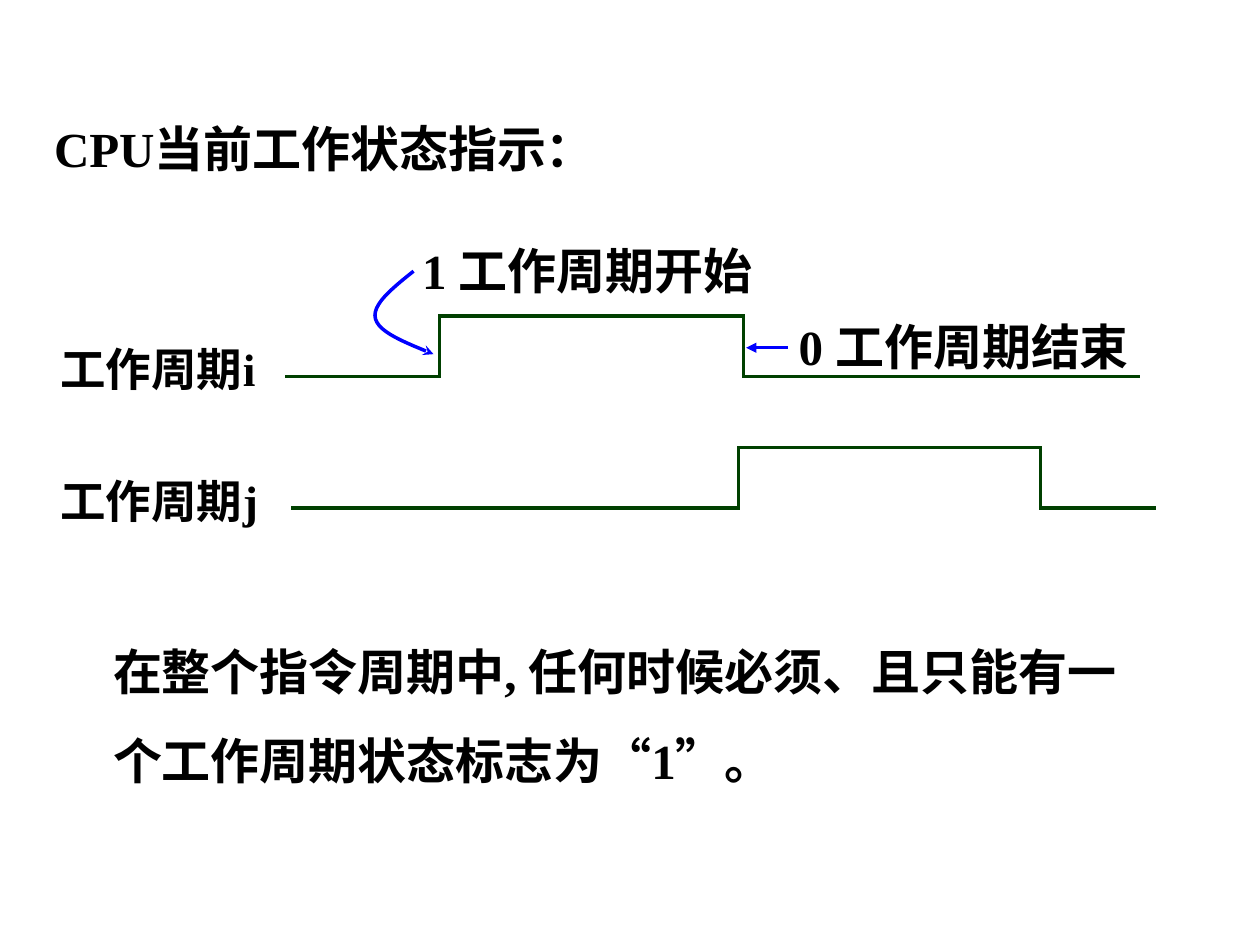
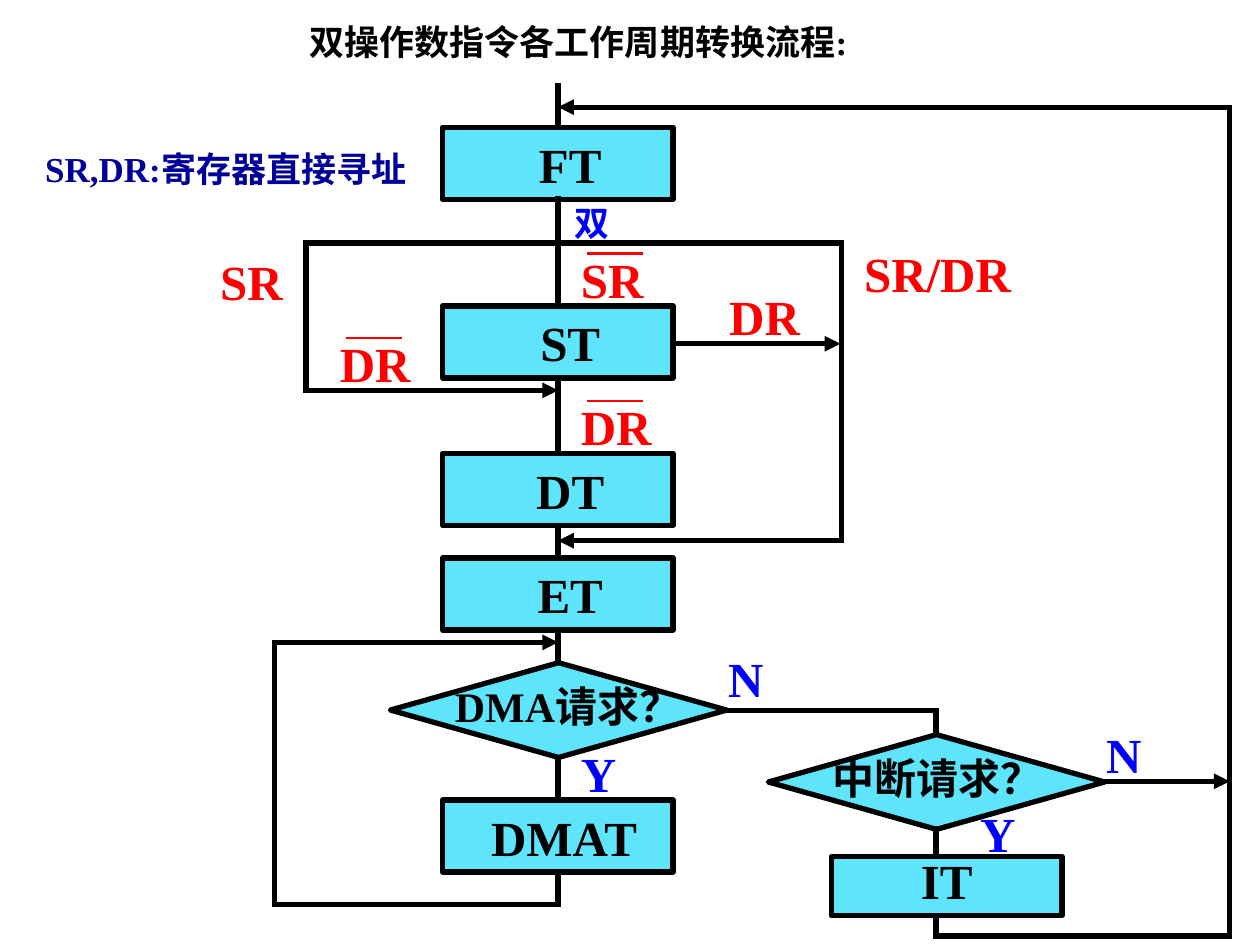
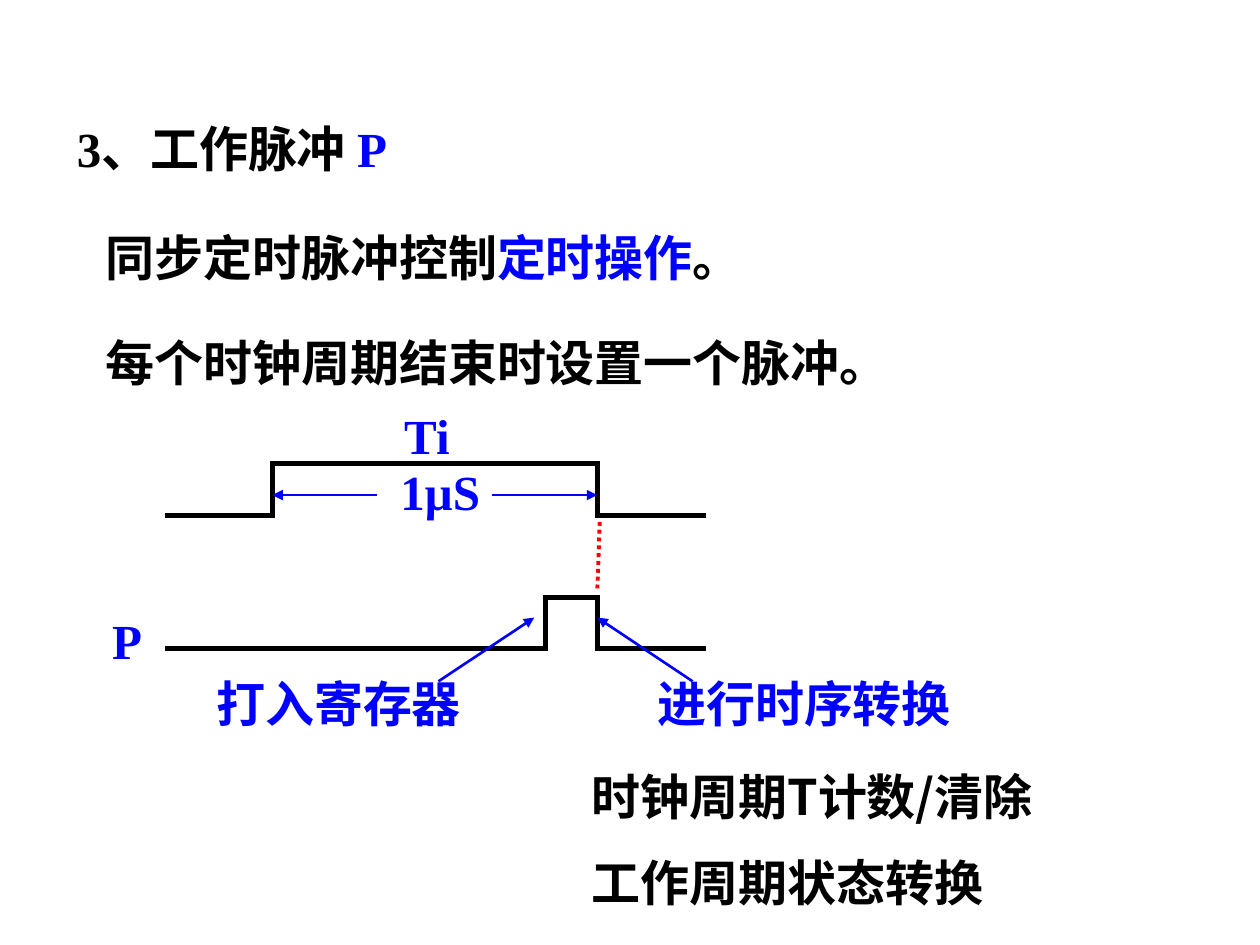
from dataclasses import dataclass
from itertools import pairwise

from lxml import etree
from pptx import Presentation
from pptx.dml.color import RGBColor
from pptx.enum import dml, shapes, text
from pptx.oxml.ns import qn
from pptx.util import Cm, Pt


@dataclass(frozen=True)
class Theme:
    black: str = "000000"
    blue: str = "0000FF"
    navy: str = "000099"
    red: str = "FF0000"
    green: str = "004000"
    cyan: str = "5EE5FC"
    latin: str = "Times New Roman"
    chinese: str = "Noto Sans CJK SC"
    body: int = 28
    signal: int = 26
    question: int = 24
    small: int = 20
    thick: float = 3
    edge: float = 1.75
    pointer: float = 1.5
    thin: float = 1


theme = Theme()


def write(frame, parts, size=theme.body, latin=theme.latin):
    """Fill a text frame with one paragraph of (words, colour) parts."""
    frame.word_wrap = True
    paragraph = frame.paragraphs[0]
    for words, color in parts:
        run = paragraph.add_run()
        run.text = words
        run.font.size = Pt(size)
        run.font.bold = True
        run.font.color.rgb = RGBColor.from_string(color)
        run.font.name = latin
        chinese = etree.SubElement(run.font._element, qn("a:ea"))
        chinese.set("typeface", theme.chinese)
    return paragraph


def stroke(shape, color, width, tip=None, dash=None):
    """Style an outline or line, with an optional arrowhead at its end."""
    shape.line.color.rgb = RGBColor.from_string(color)
    shape.line.width = Pt(width)
    ln = shape._element.spPr.find(qn("a:ln"))
    if dash:
        shape.line.dash_style = dash
    else:
        ln.set("cap", "sq")
    if tip:
        etree.SubElement(ln, qn("a:tailEnd")).set("type", tip)


deck = Presentation()
deck.slide_width, deck.slide_height = Cm(25.4), Cm(19.05)
status, flow, pulse = [deck.slides.add_slide(deck.slide_layouts[6]) for _ in range(3)]

# Square waves: slide, start, rise, fall, end, base, height, colour, width
wires = []
waves = [
    (status, 5.77, 8.86, 14.99, 22.94, 7.59, 1.22, theme.green, theme.edge),
    (status, 5.89, 14.88, 20.98, 23.27, 10.24, 1.22, theme.green, theme.edge),
    (pulse, 3.38, 5.49, 12.04, 14.17, 10.39, 1.04, theme.black, theme.thick),
    (pulse, 3.38, 11, 12.04, 14.17, 13.08, 1.04, theme.black, theme.thick),
]
for slide, start, rise, fall, end, base, height, color, width in waves:
    top = base - height
    wires.append((slide, [(start, base), (rise, base), (rise, top), (fall, top),
                          (fall, base), (end, base)], color, width, None))

# Pointers at the edges of the waves
wires += [
    (status, [(15.85, 7.01), (15.04, 7.01)], theme.blue, theme.pointer, "triangle"),
    (pulse, [(9.93, 9.98), (12.04, 9.98)], theme.blue, theme.thin, "triangle"),
    (pulse, [(7.59, 9.98), (5.49, 9.98)], theme.blue, theme.thin, "triangle"),
    (pulse, [(8.86, 13.72), (10.77, 12.45)], theme.blue, theme.pointer, "triangle"),
    (pulse, [(13.94, 13.72), (12.04, 12.45)], theme.blue, theme.pointer, "triangle"),
]

# Curved pointer to the rising edge, sampled from two Bezier arcs
arcs = [
    [(8.31, 5.49), (7.9, 5.82), (7.49, 6.15), (7.57, 6.43)],
    [(7.57, 6.43), (7.65, 6.71), (8.18, 6.91), (8.74, 7.14)],
]
steps = 12
curve = []
for arc in arcs:
    for step in range(1, steps + 1):
        t = step / steps
        weights = ((1 - t) ** 3, 3 * t * (1 - t) ** 2, 3 * t * t * (1 - t), t ** 3)
        curve.append(tuple(Cm(sum(w * point[axis] for w, point in zip(weights, arc)))
                           for axis in (0, 1)))
builder = status.shapes.build_freeform(Cm(8.31), Cm(5.49))
builder.add_line_segments(curve, close=False)
start_pointer = builder.convert_to_shape()
start_pointer.shadow.inherit = False
start_pointer.fill.background()
stroke(start_pointer, theme.blue, 2, "stealth")

# Flow chart steps: words, left, top, width, height, extra left inset
spine, box_width, box_height = 11.25, 4.65, 1.45
box_left = 8.92
rect, decision = shapes.MSO_SHAPE.RECTANGLE, shapes.MSO_SHAPE.FLOWCHART_DECISION
steps_of_flow = [
    (rect, "FT", box_left, 2.57, box_width, box_height, 0.5),
    (rect, "ST", box_left, 6.17, box_width, box_height, 0.5),
    (rect, "DT", box_left, 9.14, box_width, box_height, 0.5),
    (rect, "ET", box_left, 11.25, box_width, box_height, 0.5),
    (rect, "DMAT", box_left, 16.13, box_width, box_height, 0.25),
    (rect, "IT", 16.76, 17.27, box_width, 1.19, 0),
    (decision, "", 7.87, 13.36, 6.78, 1.91, 0),
    (decision, "", 15.49, 14.81, 6.78, 1.91, 0),
]
for outline, words, left, top, width, height, inset in steps_of_flow:
    step_box = flow.shapes.add_shape(outline, Cm(left), Cm(top), Cm(width), Cm(height))
    step_box.shadow.inherit = False
    step_box.fill.solid()
    step_box.fill.fore_color.rgb = RGBColor.from_string(theme.cyan)
    stroke(step_box, theme.black, theme.thick)
    if words:
        frame = step_box.text_frame
        frame.margin_left = Cm(0.25 + inset)
        frame.vertical_anchor = text.MSO_ANCHOR.BOTTOM
        write(frame, [(words, theme.black)]).alignment = text.PP_ALIGN.CENTER

# Flow chart links
for top, bottom in [(1.73, 2.57), (4.01, 6.17), (7.62, 9.14), (10.59, 11.25),
                    (12.7, 13.36), (15.27, 16.13)]:
    wires.append((flow, [(spine, top), (spine, bottom)], theme.black, theme.thick, None))
wires += [(flow, points, theme.black, theme.thick, tip) for points, tip in [
    ([(spine, 4.9), (6.17, 4.9), (6.17, 7.87), (spine, 7.87)], "triangle"),
    ([(spine, 4.9), (16.97, 4.9), (16.97, 10.9), (spine, 10.9)], "triangle"),
    ([(13.67, 6.93), (16.94, 6.93)], "triangle"),
    ([(spine, 17.58), (spine, 18.24), (5.54, 18.24), (5.54, 12.95), (spine, 12.95)], "triangle"),
    ([(14.65, 14.33), (18.87, 14.33), (18.87, 14.81)], None),
    ([(18.87, 16.71), (18.87, 17.27)], None),
    ([(22.25, 15.75), (24.79, 15.75)], "triangle"),
    ([(18.87, 18.46), (18.87, 18.87), (24.79, 18.87), (24.79, 2.16), (spine, 2.16)], "triangle"),
]]

# Labels: slide, words, left, top, width, colour, size
labels = [
    (status, "CPU当前工作状态指示：", 0.84, 2.26, 12.7, theme.black, theme.body),
    (status, "1 工作周期开始", 8.26, 4.72, 7.77, theme.black, theme.body),
    (status, "0 工作周期结束", 15.85, 6.25, 7.75, theme.black, theme.body),
    (status, "工作周期i", 0.97, 6.76, 5.38, theme.black, theme.signal),
    (status, "工作周期j", 0.97, 9.42, 5.38, theme.black, theme.signal),
    (flow, "双操作数指令各工作周期转换流程:", 5.99, 0.28, 11.89, theme.black, theme.small),
    (flow, "SR,DR:寄存器直接寻址", 0.66, 2.84, 7.85, theme.navy, theme.small),
    (flow, "双", 11.33, 3.94, 4.78, theme.blue, theme.small),
    (flow, "SR", 4.19, 4.95, 2, theme.red, theme.body),
    (flow, "SR/DR", 17.17, 4.78, 3.81, theme.red, theme.body),
    (flow, "DR", 14.45, 5.66, 2.54, theme.red, theme.body),
    (flow, "DMA请求？", 8.92, 13.59, 5.51, theme.black, theme.question),
    (flow, "中断请求？", 16.54, 15.04, 5.51, theme.black, theme.question),
    (flow, "Y", 11.46, 14.86, 1.9, theme.blue, theme.body),
    (flow, "N", 14.43, 12.95, 1.9, theme.blue, theme.body),
    (flow, "Y", 19.51, 16.08, 1.9, theme.blue, theme.body),
    (flow, "N", 22.05, 14.48, 1.9, theme.blue, theme.body),
    (pulse, "每个时钟周期结束时设置一个脉冲。", 1.88, 6.58, 20.52, theme.black, theme.body),
    (pulse, "Ti", 7.9, 8.05, 2.11, theme.blue, theme.body),
    (pulse, "1µS", 7.82, 9.17, 3.18, theme.blue, theme.body),
    (pulse, "P", 2.01, 12.19, 2.11, theme.blue, theme.body),
    (pulse, "打入寄存器", 4.11, 13.46, 6.55, theme.blue, theme.body),
    (pulse, "进行时序转换", 13, 13.46, 7.62, theme.blue, theme.body),
    (pulse, "工作周期状态转换", 11.68, 17.07, 13.2, theme.black, theme.body),
]

# Negated conditions carry a bar above the label
for words, left, top in [("SR", 11.46, 4.9), ("DR", 11.46, 7.87), ("DR", 6.6, 6.6)]:
    labels.append((flow, words, left, top, 2.54, theme.red, theme.body))
    bar_left, bar_top = left + 0.4, top + 0.21
    wires.append((flow, [(bar_left, bar_top), (bar_left + 1.07, bar_top)],
                  theme.red, theme.pointer, None))

# Draw the lines; the arrowhead goes on the last stretch
wires.append((pulse, [(12.09, 10.52), (12.04, 11.94)], theme.red, 2.25, None))
for slide, points, color, width, tip in wires:
    for start, end in pairwise(points):
        link = slide.shapes.add_connector(shapes.MSO_CONNECTOR.STRAIGHT,
                                          *map(Cm, start + end))
        dotted = dml.MSO_LINE.ROUND_DOT if width == 2.25 else None
        stroke(link, color, width, tip if end == points[-1] else None, dotted)
        etree.SubElement(link._element.spPr, qn("a:effectLst"))

# Set the labels
for slide, words, left, top, width, color, size in labels:
    box = slide.shapes.add_textbox(Cm(left), Cm(top), Cm(width), Cm(0.25 + 0.043 * size))
    write(box.text_frame, [(words, color)], size)

# Closing rule of the status slide
rule = status.shapes.add_textbox(Cm(2.03), Cm(12.22), Cm(21.31), Cm(3.63))
write(rule.text_frame, [("在整个指令周期中, 任何时候必须、且只能有一个工作周期状态标志为“1”。",
                         theme.black)]).line_spacing = 1.5

# Pulse slide: lines in two colours, and the clock line in its own font
heading = pulse.shapes.add_textbox(Cm(1.3), Cm(2.26), Cm(13.13), Cm(1.45))
write(heading.text_frame, [("3、工作脉冲 ", theme.black), ("P", theme.blue)])
purpose = pulse.shapes.add_textbox(Cm(1.88), Cm(4.47), Cm(20.52), Cm(1.45))
write(purpose.text_frame, [("同步定时脉冲控制", theme.black), ("定时操作", theme.blue),
                           ("。", theme.black)])
clock = pulse.shapes.add_textbox(Cm(11.68), Cm(15.32), Cm(13.21), Cm(1.45))
write(clock.text_frame, [("时钟周期T计数/清除", theme.black)], latin=theme.chinese)

deck.save("out.pptx")
